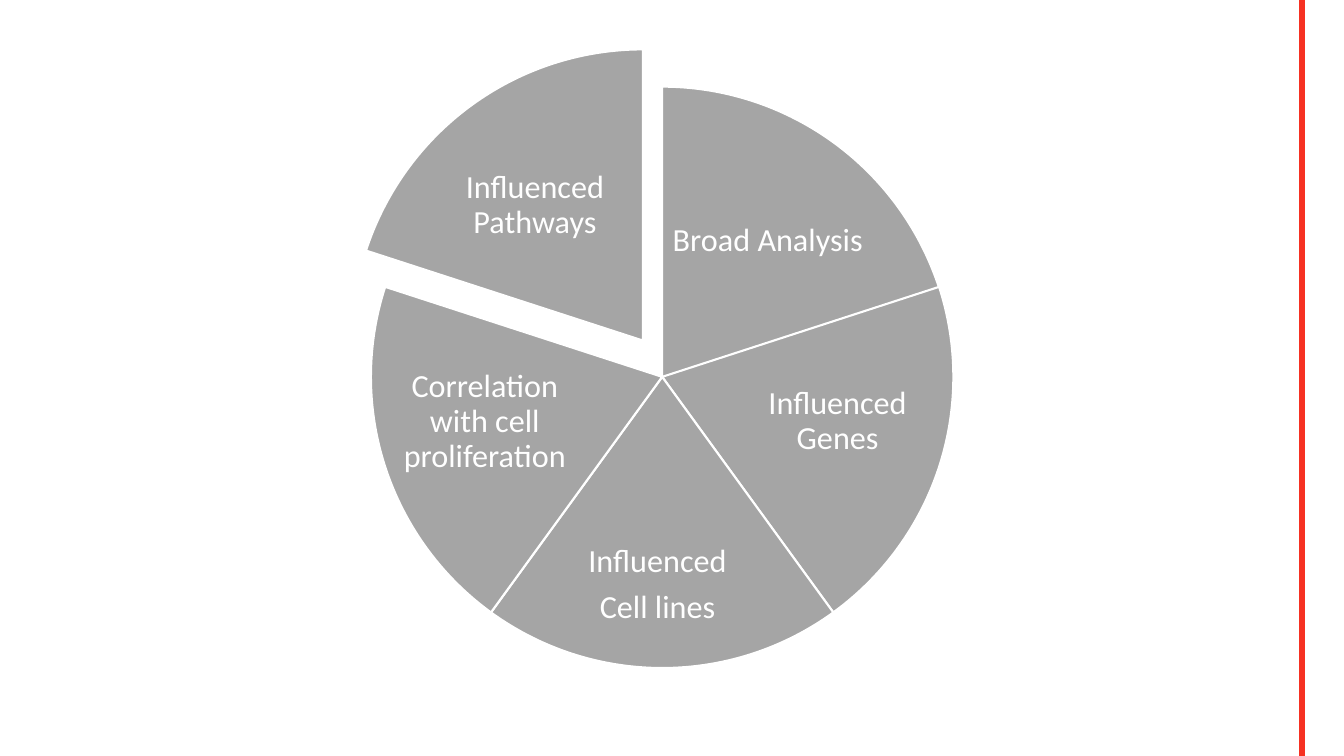
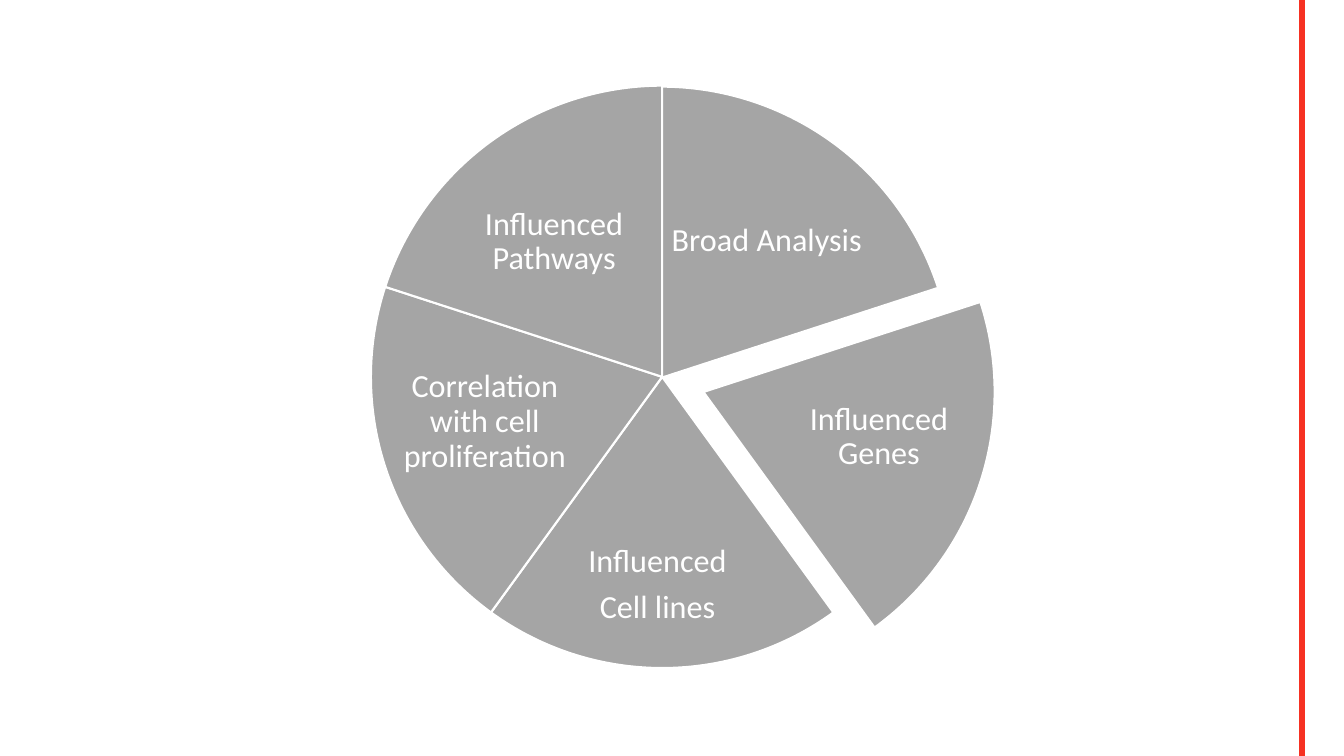
from dataclasses import dataclass

from pptx import Presentation
from pptx.dml.color import RGBColor
from pptx.enum.shapes import MSO_SHAPE
from pptx.enum.text import MSO_ANCHOR, PP_ALIGN
from pptx.util import Pt


@dataclass(frozen=True)
class Theme:
    wedge: RGBColor = RGBColor(0xA5, 0xA5, 0xA5)
    accent: RGBColor = RGBColor(0xF6, 0x31, 0x22)
    white: RGBColor = RGBColor(0xFF, 0xFF, 0xFF)
    font: str = "Calibri"
    label_size: float = 23


THEME = Theme()
WIDTH, HEIGHT = 960, 540
PIE_LEFT, PIE_TOP, PIE_SIZE = 265, 61.2, 416
LABEL_INSET = 2.3

# Wedges clockwise from twelve o'clock: label, then its left, top, width, height
WEDGES = [
    ("Broad Analysis", (478, 123.2, 141, 96.5)),
    ("Influenced Genes", (536.4, 249.1, 124, 104.4)),
    ("Influenced \nCell lines ", (398.2, 373, 148.3, 89.3)),
    ("Correlation with cell proliferation", (284.4, 249.1, 124, 104.4)),
    ("Influenced Pathways", (325.4, 124.6, 141, 96.5)),
]
SWEEP = 360 / len(WEDGES)
ADJUSTMENT_PER_DEGREE = 0.6

# How far wedges move from the pie on each slide: right, down
SLIDE_OFFSETS = [
    {"Broad Analysis": (0, 0.7), "Influenced Pathways": (-13.7, -25.9)},
    {"Broad Analysis": (-0.7, 0.7), "Influenced Genes": (29.5, 10.8)},
]


def add_filled_shape(shapes, kind, frame, fill, line, line_width):
    shape = shapes.add_shape(kind, *map(Pt, frame))
    shape.shadow.inherit = False
    shape.fill.solid()
    shape.fill.fore_color.rgb = fill
    shape.line.color.rgb = line
    shape.line.width = Pt(line_width)
    return shape


def add_label(shapes, text, frame):
    box = shapes.add_textbox(*map(Pt, frame))
    text_frame = box.text_frame
    text_frame.word_wrap = True
    text_frame.vertical_anchor = MSO_ANCHOR.MIDDLE
    text_frame.margin_left = text_frame.margin_right = Pt(LABEL_INSET)
    text_frame.margin_top = text_frame.margin_bottom = Pt(LABEL_INSET)
    text_frame.text = text
    for para in text_frame.paragraphs:
        para.alignment = PP_ALIGN.CENTER
        para.line_spacing = 0.9
        para.space_after = Pt(8)
        para.font.name = THEME.font
        para.font.size = Pt(THEME.label_size)
        para.font.color.rgb = THEME.white


deck = Presentation()
deck.slide_width, deck.slide_height = Pt(WIDTH), Pt(HEIGHT)
layout = deck.slide_layouts[6]
pages = [deck.slides.add_slide(layout) for _ in SLIDE_OFFSETS]

# Red edge bar, moved to the layout so that every slide shows it
bar = add_filled_shape(pages[0].shapes, MSO_SHAPE.RECTANGLE,
                       (928.1, 0, 3.6, HEIGHT), THEME.accent, THEME.accent, 1)
bar.element.nvSpPr.cNvPr.id = 100
layout.shapes.element.append(bar.element)

# One pie per slide, each with its own wedge pulled out
for page, offsets in zip(pages, SLIDE_OFFSETS):
    pie = page.shapes.add_group_shape()
    for index, (text, (left, top, width, height)) in enumerate(WEDGES):
        right, down = offsets.get(text, (0, 0))
        wedge = add_filled_shape(
            pie.shapes, MSO_SHAPE.PIE,
            (PIE_LEFT + right, PIE_TOP + down, PIE_SIZE, PIE_SIZE),
            THEME.wedge, THEME.white, 1.5)
        for side in range(2):
            angle = (270 + (index + side) * SWEEP) % 360
            wedge.adjustments[side] = angle * ADJUSTMENT_PER_DEGREE
        add_label(pie.shapes, text, (left + right, top + down, width, height))

deck.save("out.pptx")
